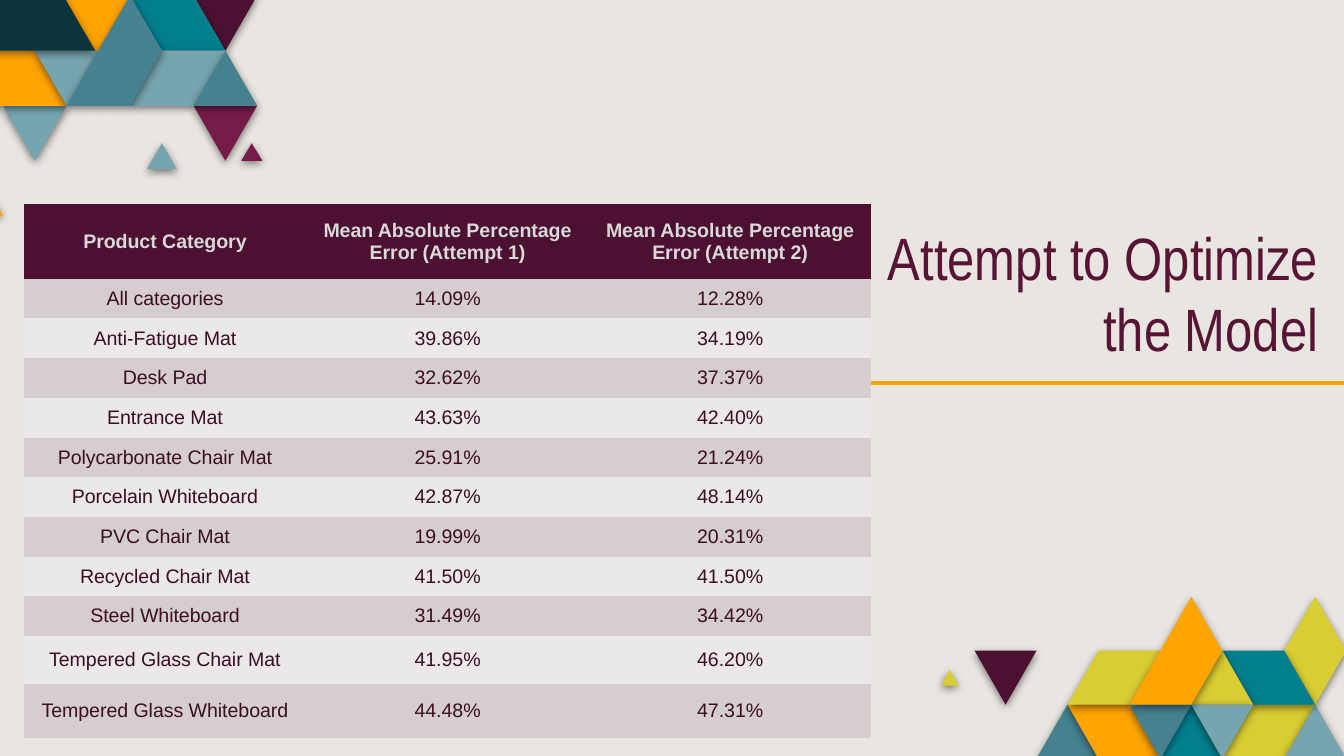
import dataclasses

import lxml.etree
import pptx
import pptx.dml.color
import pptx.enum.shapes
import pptx.enum.text
import pptx.oxml.ns
import pptx.util

Cm = pptx.util.Cm
Pt = pptx.util.Pt


@dataclasses.dataclass
class Theme:
    paper: str = "E9E6E1"
    gold: str = "FFA400"
    lime: str = "DACC33"
    teal: str = "027F8D"
    steel: str = "45818E"
    mist: str = "76A5AF"
    night: str = "0C343D"
    plum: str = "4C1130"
    wine: str = "741B47"
    title: str = "571435"
    head: str = "D9D9D9"
    body: str = "3A0E23"
    odd: str = "D6CDCF"
    even: str = "EBE8E9"
    title_size: float = 32
    cell_size: float = 10.5


def paint(fill, color):
    fill.solid()
    fill.fore_color.rgb = pptx.dml.color.RGBColor.from_string(color)


def style(para, font, size, color, align):
    para.alignment = align
    para.font.name = font
    para.font.size = Pt(size)
    para.font.color.rgb = pptx.dml.color.RGBColor.from_string(color)


look = Theme()
deck = pptx.Presentation()
deck.slide_width, deck.slide_height = Cm(25.4), Cm(14.29)
slide = deck.slides.add_slide(deck.slide_layouts[5])
paint(slide.background.fill, look.paper)

# Corner mosaics: points are (half-triangle column, row) on a lattice
# Each lattice: left, top, column step, row step in cm
low = (19.59, 11.28, 1.17 / 2, 1.02)
high = (-1.14, -0.08, 0.6, 1.04)
tiles = [
    (low, look.steel, [(0, 3), (1, 2), (2, 3)]),
    (low, look.gold, [(1, 2), (3, 2), (4, 3), (2, 3)]),
    (low, look.lime, [(6, 3), (7, 2), (9, 2), (8, 3)]),
    (low, look.mist, [(8, 3), (9, 2), (10, 3)]),
    (low, look.teal, [(4, 3), (5, 2), (6, 3)]),
    (low, look.lime, [(1, 2), (2, 1), (4, 1), (3, 2)]),
    (low, look.lime, [(-3.08, 1.65), (-2.8, 1.35), (-2.52, 1.65)]),
    (low, look.plum, [(-2, 1), (0, 1), (-1, 2)]),
    (low, look.lime, [(8, 1), (9, 0), (10, 1), (9, 2)]),
    (low, look.teal, [(6, 1), (8, 1), (9, 2), (7, 2)]),
    (low, look.lime, [(5, 2), (6, 1), (7, 2)]),
    (low, look.mist, [(5, 2), (7, 2), (6, 3)]),
    (low, look.steel, [(3, 2), (5, 2), (4, 3)]),
    (low, look.gold, [(3, 2), (5, 0), (6, 1), (5, 2)]),
    (high, look.gold, [(6, 0), (4.9, 1.07), (3.8, 0)]),
    (high, look.plum, [(10, 0), (9, 1), (8, 0)]),
    (high, look.teal, [(9, 1), (7, 1), (6, 0), (8, 0)]),
    (high, look.wine, [(10, 2), (9, 3), (8, 2)]),
    (high, look.mist, [(7.47, 3.15), (6.53, 3.15), (7, 2.68)]),
    (high, look.wine, [(10.17, 3), (9.5, 3), (9.83, 2.68)]),
    (high, look.mist, [(9, 1), (8, 2), (6, 2), (7, 1)]),
    (high, look.steel, [(10, 2), (8, 2), (9, 1)]),
    (high, look.mist, [(4, 2), (3, 3), (2, 2)]),
    (high, look.gold, [(2, 4), (0, 4), (1, 3)]),
    (high, look.gold, [(4, 2), (0, 2), (1, 1), (3, 1)]),
    (high, look.mist, [(5, 1), (4, 2), (3, 1)]),
    (high, look.night, [(4.9, 1), (0.9, 1), (1.9, 0), (3.9, 0)]),
    (high, look.steel, [(7, 1), (6, 2), (4, 2), (6, 0)]),
]
for (left, top, dx, dy), color, points in tiles:
    spots = [(Cm(left + col * dx), Cm(top + row * dy)) for col, row in points]
    pen = slide.shapes.build_freeform(*spots[0])
    pen.add_line_segments(spots[1:], close=True)
    tile = pen.convert_to_shape()
    paint(tile.fill, color)
    tile.line.fill.background()
    # Soft shadow falling straight down
    tile.shadow.inherit = False
    glow = tile.element.spPr.find(pptx.oxml.ns.qn("a:effectLst"))
    drop = lxml.etree.SubElement(
        glow, pptx.oxml.ns.qn("a:outerShdw"), blurRad=str(Pt(4.5)),
        dist=str(Pt(1.5)), dir="5400000", algn="bl", rotWithShape="0")
    tint = lxml.etree.SubElement(drop, pptx.oxml.ns.qn("a:srgbClr"), val="000000")
    lxml.etree.SubElement(tint, pptx.oxml.ns.qn("a:alpha"), val="50000")

# Rule under the title
rule = slide.shapes.add_connector(
    pptx.enum.shapes.MSO_CONNECTOR.STRAIGHT,
    Cm(14.22), Cm(7.24), Cm(25.4), Cm(7.24))
paint(rule.line.fill, look.gold)
rule.line.width = Pt(2.25)
lxml.etree.SubElement(rule.element.spPr, pptx.oxml.ns.qn("a:effectLst"))

# Title
title = slide.shapes.title
title.left, title.top = Cm(15.54), Cm(3.78)
title.width, title.height = Cm(9.63), Cm(3.35)
frame = title.text_frame
frame.text = "Attempt to Optimize the Model"
frame.word_wrap = True
frame.auto_size = pptx.enum.text.MSO_AUTO_SIZE.NONE
frame.vertical_anchor = pptx.enum.text.MSO_ANCHOR.BOTTOM
frame.margin_left = frame.margin_right = Cm(0.25)
frame.margin_top = frame.margin_bottom = Cm(0.25)
style(frame.paragraphs[0], "Arial Narrow", look.title_size, look.title,
      pptx.enum.text.PP_ALIGN.RIGHT)

# Error table
rows = [
    ("Product Category", "Mean Absolute Percentage Error (Attempt 1)",
     "Mean Absolute Percentage Error (Attempt 2)"),
    ("All categories", "14.09%", "12.28%"),
    ("Anti-Fatigue Mat", "39.86%", "34.19%"),
    ("Desk Pad", "32.62%", "37.37%"),
    ("Entrance Mat", "43.63%", "42.40%"),
    ("Polycarbonate Chair Mat", "25.91%", "21.24%"),
    ("Porcelain Whiteboard", "42.87%", "48.14%"),
    ("PVC Chair Mat", "19.99%", "20.31%"),
    ("Recycled Chair Mat", "41.50%", "41.50%"),
    ("Steel Whiteboard", "31.49%", "34.42%"),
    ("Tempered Glass Chair Mat", "41.95%", "46.20%"),
    ("Tempered Glass Whiteboard", "44.48%", "47.31%"),
]
highs = [1.41] + [0.75] * 9 + [0.91, 1.02]
grid = slide.shapes.add_table(
    len(rows), 3, Cm(0.45), Cm(3.86), Cm(16.02), Cm(sum(highs))).table
# Plain style without grid lines
grid._tbl.tblPr.find(pptx.oxml.ns.qn("a:tableStyleId")).text = (
    "{2D5ABB26-0587-4C30-8999-92F81FD0307C}")
for i, (row, high) in enumerate(zip(rows, highs)):
    grid.rows[i].height = Cm(high)
    back = look.plum if i == 0 else (look.even, look.odd)[i % 2]
    for j, text in enumerate(row):
        cell = grid.cell(i, j)
        cell.text = text
        cell.vertical_anchor = pptx.enum.text.MSO_ANCHOR.MIDDLE
        paint(cell.fill, back)
        para = cell.text_frame.paragraphs[0]
        style(para, "Arial", look.cell_size, look.body if i else look.head,
              pptx.enum.text.PP_ALIGN.CENTER)
        para.font.bold = i == 0

deck.save("out.pptx")
